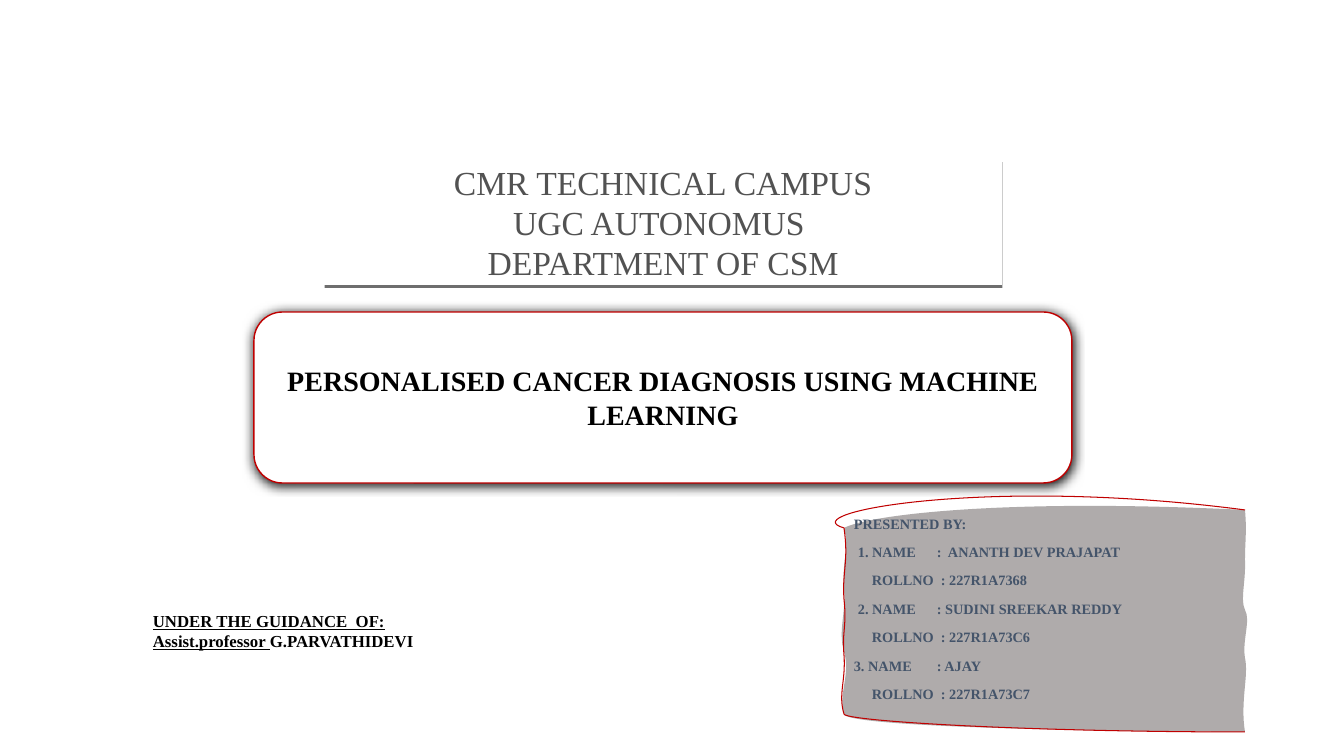
from lxml import etree
from pptx import Presentation
from pptx.dml.color import RGBColor
from pptx.enum.shapes import MSO_SHAPE
from pptx.enum.text import MSO_ANCHOR, PP_ALIGN
from pptx.oxml.ns import qn
from pptx.util import Pt

PX = 914400 / 100.8
FONT = "Times New Roman"
RED, GRAY, SLATE = "C00000", "AFABAB", "44546A"
BLACK, WHITE = "000000", "FFFFFF"
RECT, ROUND = MSO_SHAPE.RECTANGLE, MSO_SHAPE.ROUNDED_RECTANGLE
TOP, MIDDLE = MSO_ANCHOR.TOP, MSO_ANCHOR.MIDDLE
LEFT, CENTER = PP_ALIGN.LEFT, PP_ALIGN.CENTER

# Each curve holds two control points and an end point.
FRAME = (844, 510, 401, 222)
START = (1245, 732)
PANEL = [
    ((1025, 731), (844, 725), (844, 714)),
    ((838, 694), (851, 674), (844, 652)),
    ((838, 629), (846, 617), (844, 587)),
    ((842, 555), (850, 552), (844, 528)),
    ((869, 515), (1003, 498), (1245, 510)),
    ((1247, 532), (1245, 541), (1245, 560)),
    ((1246, 581), (1240, 600), (1245, 610)),
    ((1251, 620), (1242, 641), (1245, 658)),
    ((1249, 676), (1240, 701), START),
]
EDGE = [
    ((1023, 732), (844, 721), (844, 714)),
    ((838, 694), (846, 681), (844, 655)),
    ((842, 630), (847, 627), (844, 599)),
    ((842, 572), (849, 561), (844, 528)),
    ((791, 513), (988, 476), (1245, 510)),
]
# Left tab and colon tab in px, then the text.
TEAM = [
    (4, 83, "\t1. NAME\t:  ANANTH DEV PRAJAPAT"),
    (18, 87, "\tROLLNO\t: 227R1A7368"),
    (4, 83, "\t2. NAME\t: SUDINI SREEKAR REDDY"),
    (18, 87, "\tROLLNO\t: 227R1A73C6"),
    (0, 83, "3. NAME\t: AJAY"),
    (18, 87, "\tROLLNO\t: 227R1A73C7"),
]


def px(n):
    return round(n * PX)


def rgb(code):
    return RGBColor.from_string(code)


def add(parent, tag, **attrs):
    return etree.SubElement(parent, qn(tag), **attrs)


def paint(shape, fill, line=None, width=1):
    shape.shadow.inherit = False
    shape.fill.solid()
    shape.fill.fore_color.rgb = rgb(fill)
    if line:
        shape.line.color.rgb = rgb(line)
        shape.line.width = Pt(width)
    else:
        shape.line.fill.background()


def shade(shape, blur, dist, angle, alpha):
    """Add a black shadow: points, degrees and percent."""
    effects = shape._element.spPr.find(qn("a:effectLst"))
    outer = add(effects, "a:outerShdw", blurRad=str(Pt(blur)),
                dist=str(Pt(dist)), dir=str(angle * 60000),
                algn="t", rotWithShape="0")
    color = add(outer, "a:srgbClr", val=BLACK)
    add(color, "a:alpha", val=str(alpha * 1000))


def box(slide, kind, x, y, w, h, line=None):
    shape = slide.shapes.add_shape(kind, px(x), px(y), px(w), px(h))
    paint(shape, WHITE, line)
    return shape


def add_curve(paths, curves, close, **look):
    """Add one path of cubic curves, measured from the frame's corner."""
    x, y, w, h = FRAME

    def point(parent, spot):
        add(parent, "a:pt", x=str(px(spot[0] - x)), y=str(px(spot[1] - y)))

    track = add(paths, "a:path", w=str(px(w)), h=str(px(h)), **look)
    point(add(track, "a:moveTo"), START)
    for curve in curves:
        step = add(track, "a:cubicBezTo")
        for spot in curve:
            point(step, spot)
    if close:
        add(track, "a:close")


def add_scroll(slide):
    x, y, w, h = FRAME
    pen = slide.shapes.build_freeform(px(x), px(y))
    pen.add_line_segments([(px(a), px(b)) for a, b in (
        (x + w, y), (x + w, y + h), (x, y + h))])
    shape = pen.convert_to_shape()
    paint(shape, GRAY, RED, 0.75)
    paths = shape._element.spPr.find(qn("a:custGeom")).find(qn("a:pathLst"))
    for old in list(paths):
        paths.remove(old)
    add_curve(paths, PANEL, True, stroke="0")
    add_curve(paths, EDGE, False, fill="none")
    return shape


def set_tabs(para, stops):
    tabs = add(para._p.get_or_add_pPr(), "a:tabLst")
    for stop in stops:
        if stop:
            add(tabs, "a:tab", pos=str(px(stop)), algn="l")


def write(para, text, size, color, bold, under):
    run = para.add_run()
    run.text = text
    font = run.font
    font.name, font.size = FONT, Pt(size)
    font.bold, font.underline = bold, under
    font.color.rgb = rgb(color)


def fill_text(shape, rows, size, color, bold=False, align=LEFT, anchor=TOP):
    """Write rows, each a list of (text, underlined) runs."""
    frame = shape.text_frame
    frame.word_wrap = True
    frame.vertical_anchor = anchor
    for i, row in enumerate(rows):
        para = frame.add_paragraph() if i else frame.paragraphs[0]
        para.alignment = align
        for text, under in row:
            write(para, text, size, color, bold, under)
    return frame


def add_team(slide):
    rows = [[("PRESENTED BY:", False)]]
    rows += [[(text, False)] for _, _, text in TEAM]
    frame = fill_text(add_scroll(slide), rows, 10.2, SLATE, True)
    for para in frame.paragraphs:
        para.space_after = Pt(6)
    for para, (left, colon, _) in zip(frame.paragraphs[1:], TEAM):
        para.space_before = Pt(2)
        set_tabs(para, (left, colon))


def main():
    deck = Presentation()
    deck.slide_width, deck.slide_height = px(1344), px(756)
    slide = deck.slides.add_slide(deck.slide_layouts[6])

    add_team(slide)

    topic = box(slide, ROUND, 254, 312, 818, 171, RED)
    shade(topic, 8.5, 1, 90, 100)
    name = "PERSONALISED CANCER DIAGNOSIS USING MACHINE LEARNING"
    fill_text(topic, [[(name, False)]], 20, BLACK, True, CENTER, MIDDLE)

    head = box(slide, RECT, 324, 159, 678, 126)
    shade(head, 0, 2.2, 80, 57)
    lines = ("CMR TECHNICAL CAMPUS", "UGC AUTONOMUS ", "DEPARTMENT OF CSM")
    fill_text(head, [[(line, False)] for line in lines], 24, "525252",
              False, CENTER, MIDDLE)

    guide = slide.shapes.add_textbox(px(143), px(565), px(369), px(152))
    frame = fill_text(guide, [
        [("UNDER THE GUIDANCE  OF:", True)],
        [("Assist.professor ", True), ("G.PARVATHIDEVI", False)],
    ], 12, BLACK, True)
    frame.margin_top = px(46)

    deck.save("out.pptx")


if __name__ == "__main__":
    main()
